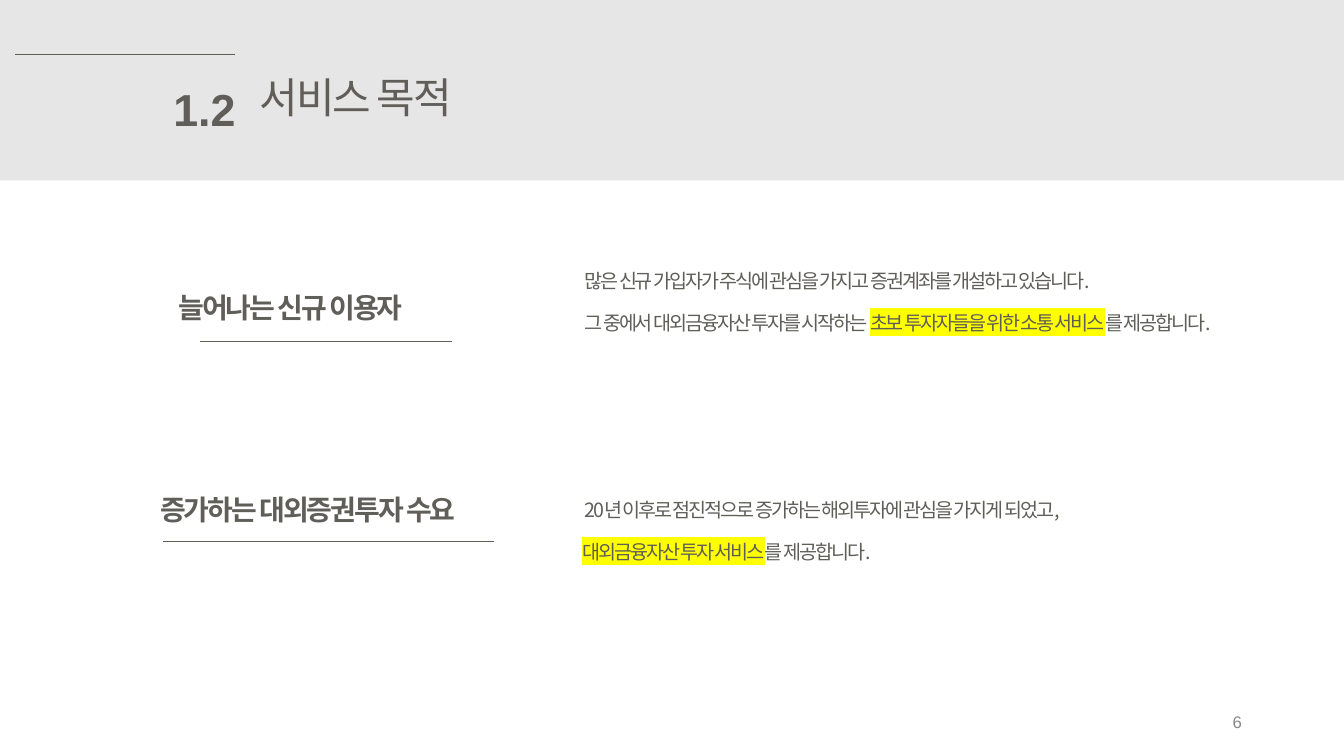
from dataclasses import dataclass

from lxml.etree import SubElement
from pptx import Presentation
from pptx.dml.color import RGBColor
from pptx.enum.shapes import MSO_CONNECTOR as CONN, MSO_SHAPE as SHAPE
from pptx.enum.text import MSO_ANCHOR as ANCHOR, MSO_AUTO_SIZE as FIT, PP_ALIGN as ALIGN
from pptx.oxml.ns import qn
from pptx.slide import Slide
from pptx.text.text import TextFrame
from pptx.util import Cm, Pt


@dataclass(frozen=True)
class Theme:
    ink: str = "5F5E58"
    band: str = "E7E6E6"
    page: str = "898989"
    marker: str = "FFFF00"
    latin: str = "Arial"
    korean: str = "Noto Sans CJK KR"
    number_size: float = 32
    title_size: float = 30
    heading_size: float = 20
    body_size: float = 14
    page_size: float = 12
    tracking: float = -1.5
    body_gap: float = 13.3
    rule: float = 0.5


@dataclass(frozen=True)
class Run:
    text: str
    marked: bool = False


@dataclass(frozen=True)
class Box:
    left: float
    top: float
    width: float
    height: float

    def lengths(self) -> tuple[Cm, Cm, Cm, Cm]:
        return Cm(self.left), Cm(self.top), Cm(self.width), Cm(self.height)


@dataclass(frozen=True)
class Rule:
    left: float
    right: float
    y: float


@dataclass(frozen=True)
class Section:
    heading: str
    heading_box: Box
    rule: Rule
    body: list[list[Run]]
    body_box: Box


T = Theme()
WIDTH, HEIGHT = 33.87, 19.05

SECTIONS = [
    Section(
        "늘어나는 신규 이용자", Box(4.5, 7.32, 8.5, 1.05), Rule(5.05, 11.38, 8.61),
        [[Run(" 많은 신규 가입자가 주식에 관심을 가지고 증권계좌를 개설하고 있습니다.")],
         [Run(" 그 중에서 대외금융자산 투자를 시작하는 "),
          Run("초보 투자자들을 위한 소통 서비스", True), Run("를 제공합니다.")]],
        Box(14.68, 6.78, 18, 2)),
    Section(
        "증가하는 대외증권투자 수요", Box(4.04, 12.4, 8.5, 1.05), Rule(4.11, 12.45, 13.64),
        [[Run(" 20년 이후로 점진적으로 증가하는 해외투자에 관심을 가지게 되었고,")],
         [Run("대외금융자산 투자 서비스", True), Run("를 제공합니다.")]],
        Box(14.68, 12.55, 18, 2)),
]


def write(tf: TextFrame, paragraphs: list[list[Run]], *, size: float, font: str = T.korean,
          color: str = T.ink, bold: bool = False, tracking: float = T.tracking,
          align: ALIGN = ALIGN.LEFT, gap: float = 0) -> None:
    tf.auto_size = FIT.NONE
    tf.word_wrap = True
    tf.vertical_anchor = ANCHOR.TOP
    tf.margin_left = tf.margin_right = tf.margin_top = tf.margin_bottom = 0
    for i, runs in enumerate(paragraphs):
        p = tf.add_paragraph() if i else tf.paragraphs[0]
        p.alignment = align
        p.line_spacing = 1.0
        p.space_before = Pt(gap if i else 0)
        for run in runs:
            r = p.add_run()
            r.text = run.text
            r.font.size = Pt(size)
            r.font.bold = bold
            r.font.color.rgb = RGBColor.from_string(color)
            rpr = r.font._element
            if tracking:
                rpr.set("spc", str(round(tracking * 100)))
            if run.marked:
                mark = SubElement(rpr, qn("a:highlight"))
                SubElement(mark, qn("a:srgbClr")).set("val", T.marker)
            for tag in ("a:latin", "a:ea"):
                SubElement(rpr, qn(tag)).set("typeface", font)


def add_text(s: Slide, box: Box, paragraphs: list[list[Run]], **style) -> None:
    write(s.shapes.add_textbox(*box.lengths()).text_frame, paragraphs, **style)


def add_rule(s: Slide, rule: Rule) -> None:
    line = s.shapes.add_connector(CONN.STRAIGHT, Cm(rule.left), Cm(rule.y),
                                  Cm(rule.right), Cm(rule.y))
    line.line.color.rgb = RGBColor.from_string(T.ink)
    line.line.width = Pt(T.rule)
    SubElement(line._element.spPr, qn("a:effectLst"))


def add_header(s: Slide) -> None:
    band = s.shapes.add_shape(SHAPE.RECTANGLE, *Box(0, 0, WIDTH, 4.55).lengths())
    band.shadow.inherit = False
    band.fill.solid()
    band.fill.fore_color.rgb = RGBColor.from_string(T.band)
    band.line.fill.background()
    add_rule(s, Rule(0.38, 5.92, 1.37))
    add_text(s, Box(4.11, 2.06, 1.83, 1.3), [[Run("1.2")]], size=T.number_size,
             font=T.latin, bold=True, tracking=0, align=ALIGN.RIGHT)
    title = s.shapes.title
    title.left, title.top, title.width, title.height = Box(6.55, 1.8, 6, 1.55).lengths()
    write(title.text_frame, [[Run("서비스 목적")]], size=T.title_size)
    band._element.getparent().append(title._element)


def add_section(s: Slide, section: Section) -> None:
    add_text(s, section.heading_box, [[Run(section.heading)]], size=T.heading_size, bold=True)
    add_text(s, section.body_box, section.body, size=T.body_size, gap=T.body_gap)
    add_rule(s, section.rule)


def main() -> None:
    prs = Presentation()
    prs.slide_width, prs.slide_height = Cm(WIDTH), Cm(HEIGHT)
    s = prs.slides.add_slide(prs.slide_layouts.get_by_name("Title Only"))
    add_header(s)
    for section in SECTIONS:
        add_section(s, section)
    add_text(s, Box(29.3, 17.94, 2, 0.5), [[Run("6")]], size=T.page_size, font=T.latin,
             color=T.page, tracking=0, align=ALIGN.RIGHT)
    prs.save("out.pptx")


if __name__ == "__main__":
    main()
